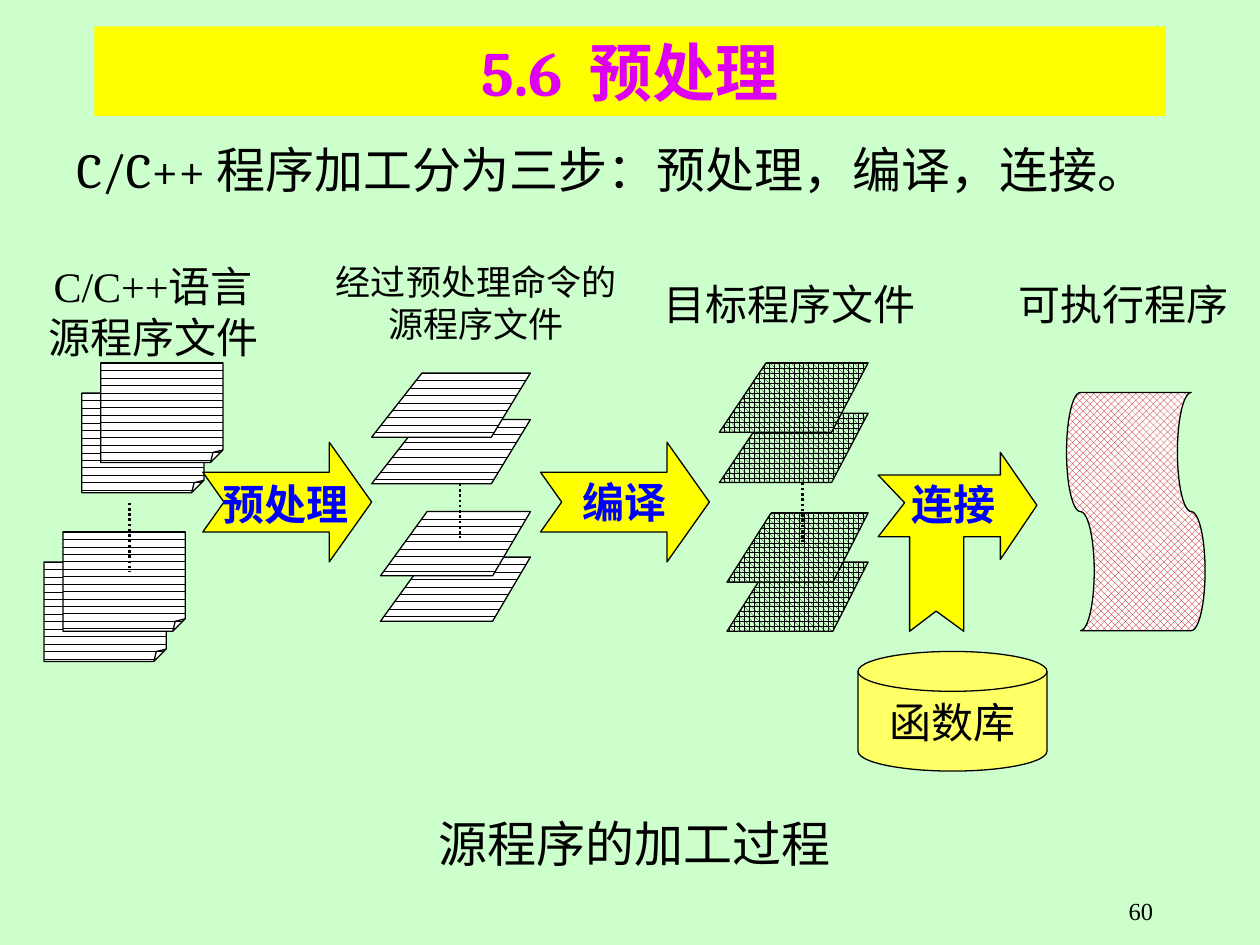
from lxml import etree
from pptx import Presentation
from pptx import util as u
from pptx.dml.color import RGBColor
from pptx.enum import dml, shapes, text
from pptx.oxml.ns import qn

CELL = u.Inches(0.1)
COLUMNS, ROWS = 100, 75

MINT = RGBColor(0xCC, 0xFF, 0xCC)
YELLOW = RGBColor(0xFF, 0xFF, 0x00)
PALE_YELLOW = RGBColor(0xFF, 0xFF, 0x66)
MAGENTA = RGBColor(0xDE, 0x00, 0xF2)
BLUE = RGBColor(0x00, 0x00, 0xFF)
RED = RGBColor(0xC0, 0x00, 0x00)
BLACK = RGBColor(0x00, 0x00, 0x00)
WHITE = RGBColor(0xFF, 0xFF, 0xFF)

LINED = (dml.MSO_PATTERN.DASHED_HORIZONTAL, BLACK, WHITE)
MESHED = (dml.MSO_PATTERN.SPHERE, BLACK, MINT)
DIAMONDS = (dml.MSO_PATTERN.SOLID_DIAMOND, RED, WHITE)

CENTER = text.PP_ALIGN.CENTER
TOP = text.MSO_ANCHOR.TOP
MIDDLE = text.MSO_ANCHOR.MIDDLE


def cells(*counts):
    return [u.Emu(round(count * CELL)) for count in counts]


def write(shape, words, size=24, font="Cambria", color=BLACK, bold=False,
          align=CENTER, anchor=TOP, wrap=True, spacing=None):
    frame = shape.text_frame
    frame.word_wrap = wrap
    frame.vertical_anchor = anchor
    para = frame.paragraphs[0]
    para.alignment = align
    if spacing:
        para.line_spacing = spacing
    for index, line in enumerate(words.split("\n")):
        if index:
            para.add_line_break()
        span = para.add_run()
        span.text = line
        span.font.name = font
        span.font.size = u.Pt(size)
        span.font.bold = bold
        span.font.color.rgb = color


def add_label(page, place, words, **style):
    box = page.shapes.add_textbox(*cells(*place))
    write(box, words, **style)


def paint(shape, fill, outline=True):
    shape.shadow.inherit = False
    if isinstance(fill, RGBColor):
        shape.fill.solid()
        shape.fill.fore_color.rgb = fill
    else:
        shape.fill.patterned()
        shape.fill.pattern, shape.fill.fore_color.rgb, shape.fill.back_color.rgb = fill
    if outline:
        shape.line.color.rgb = BLACK
        shape.line.width = u.Pt(0.75)
    else:
        shape.line.fill.background()


def adjust(shape, values):
    geometry = shape._element.spPr.find(qn("a:prstGeom"))
    guides = geometry.find(qn("a:avLst"))
    if guides is None:
        guides = etree.SubElement(geometry, qn("a:avLst"))
    for guide in list(guides):
        guides.remove(guide)
    for name, value in values.items():
        etree.SubElement(guides, qn("a:gd"), name=name, fmla=f"val {round(value * 100000)}")


def add_preset(page, kind, place, fill, outline=True, **adjustments):
    shape = page.shapes.add_shape(kind, *cells(*place))
    if adjustments:
        adjust(shape, adjustments)
    paint(shape, fill, outline)
    return shape


def add_outline(page, points, fill):
    corners = [tuple(cells(*point)) for point in points]
    builder = page.shapes.build_freeform(*corners[0], scale=1.0)
    builder.add_line_segments(corners[1:], close=True)
    paint(builder.convert_to_shape(), fill)


def add_dots(page, column, top, bottom):
    dots = page.shapes.add_connector(
        shapes.MSO_CONNECTOR.STRAIGHT, *cells(column, top, column, bottom))
    dots.line.color.rgb = BLACK
    dots.line.width = u.Pt(1.5)
    dots.line.dash_style = dml.MSO_LINE.ROUND_DOT
    etree.SubElement(dots._element.spPr, qn("a:effectLst"))


def add_folded_pages(page):
    for left, top in ((3.5, 44.6), (5, 42.2), (6.5, 31.2), (8, 28.8)):
        add_preset(page, shapes.MSO_SHAPE.FOLDED_CORNER, (left, top, 9.7, 7.9),
                   LINED, adj=0.125)


def add_slanted_sheets(page, right, height, fill, pairs):
    for tops, left, upper_left, lower_right in pairs:
        for top in tops:
            add_outline(page, [(upper_left, top), (right, top),
                               (lower_right, top + height), (left, top + height)], fill)


def add_step_arrow(page, left):
    return add_preset(page, shapes.MSO_SHAPE.NOTCHED_RIGHT_ARROW, (left, 35.1, 13.4, 9.5),
                      YELLOW, adj1=0.5, adj2=0.354)


def add_link_arrow(page):
    add_outline(page, [(69.7, 37.7), (79.4, 37.7), (79.4, 35.9), (82.3, 40.1),
                       (79.4, 44.4), (79.4, 42.6), (76.5, 42.6), (76.5, 50.1),
                       (74.3, 48.5), (72.2, 50.1), (72.2, 42.6), (69.7, 42.6),
                       (71.8, 39.9)], YELLOW)


def add_texts(page):
    title = add_preset(page, shapes.MSO_SHAPE.RECTANGLE, (7.5, 2.1, 85, 7.1),
                       YELLOW, outline=False)
    write(title, "5.6  预处理", size=36, color=MAGENTA, bold=True, anchor=MIDDLE)
    add_label(page, (5.1, 11.5, 89.8, 58.3), "C/C++ 程序加工分为三步：预处理，编译，连接。",
              size=28, align=text.PP_ALIGN.LEFT, spacing=0.8)
    add_label(page, (71.7, 70.6, 20.8, 2.8), "60", size=14,
              font="Times New Roman", align=text.PP_ALIGN.RIGHT)
    add_label(page, (23.2, 64.1, 54.3, 5.7), "源程序的加工过程", size=28)
    add_label(page, (2.7, 20.2, 18.9, 8.7), "C/C++语言\n源程序文件", font="Times New Roman")
    add_label(page, (24.8, 20.2, 26, 7.7), "经过预处理命令的\n源程序文件", size=20)
    add_label(page, (51.7, 21.6, 22, 5), "目标程序文件", anchor=MIDDLE, wrap=False)
    add_label(page, (79.8, 21.6, 18.7, 5), "可执行程序", anchor=MIDDLE, wrap=False)


def add_flow(page):
    step_style = {"color": BLUE, "bold": True}
    add_folded_pages(page)
    add_dots(page, 10.3, 39.9, 45.4)
    add_step_arrow(page, 16.1)
    write(add_step_arrow(page, 42.9), "编译", anchor=MIDDLE, **step_style)
    add_slanted_sheets(page, 42.1, 5.1, LINED, [
        ((44.2, 40.6), 30.2, 33.9, 39.1), ((33.3, 29.6), 29.5, 33.5, 39)])
    add_dots(page, 36.5, 38.4, 42.7)
    add_slanted_sheets(page, 68.9, 5.5, MESHED, [
        ((44.6, 40.7), 57.7, 61.2, 66.1), ((32.8, 28.8), 57.1, 60.8, 66)])
    add_dots(page, 63.7, 38.3, 43)
    add_link_arrow(page)
    library = add_preset(page, shapes.MSO_SHAPE.FLOWCHART_MAGNETIC_DISK,
                         (68.1, 51.7, 15, 9.5), PALE_YELLOW)
    write(library, "函数库", anchor=MIDDLE)
    program = add_preset(page, shapes.MSO_SHAPE.FLOWCHART_PUNCHED_TAPE,
                         (80.7, 35.1, 18.9, 11), DIAMONDS)
    program.rotation = 270
    add_label(page, (71.3, 37.5, 8.7, 5), "连接", **step_style)
    add_label(page, (16.4, 37.5, 12.6, 5), "预处理", **step_style)


def main():
    deck = Presentation()
    deck.slide_width, deck.slide_height = cells(COLUMNS, ROWS)
    page = deck.slides.add_slide(deck.slide_layouts[6])
    page.background.fill.solid()
    page.background.fill.fore_color.rgb = MINT
    add_texts(page)
    add_flow(page)
    deck.save("out.pptx")


if __name__ == "__main__":
    main()
